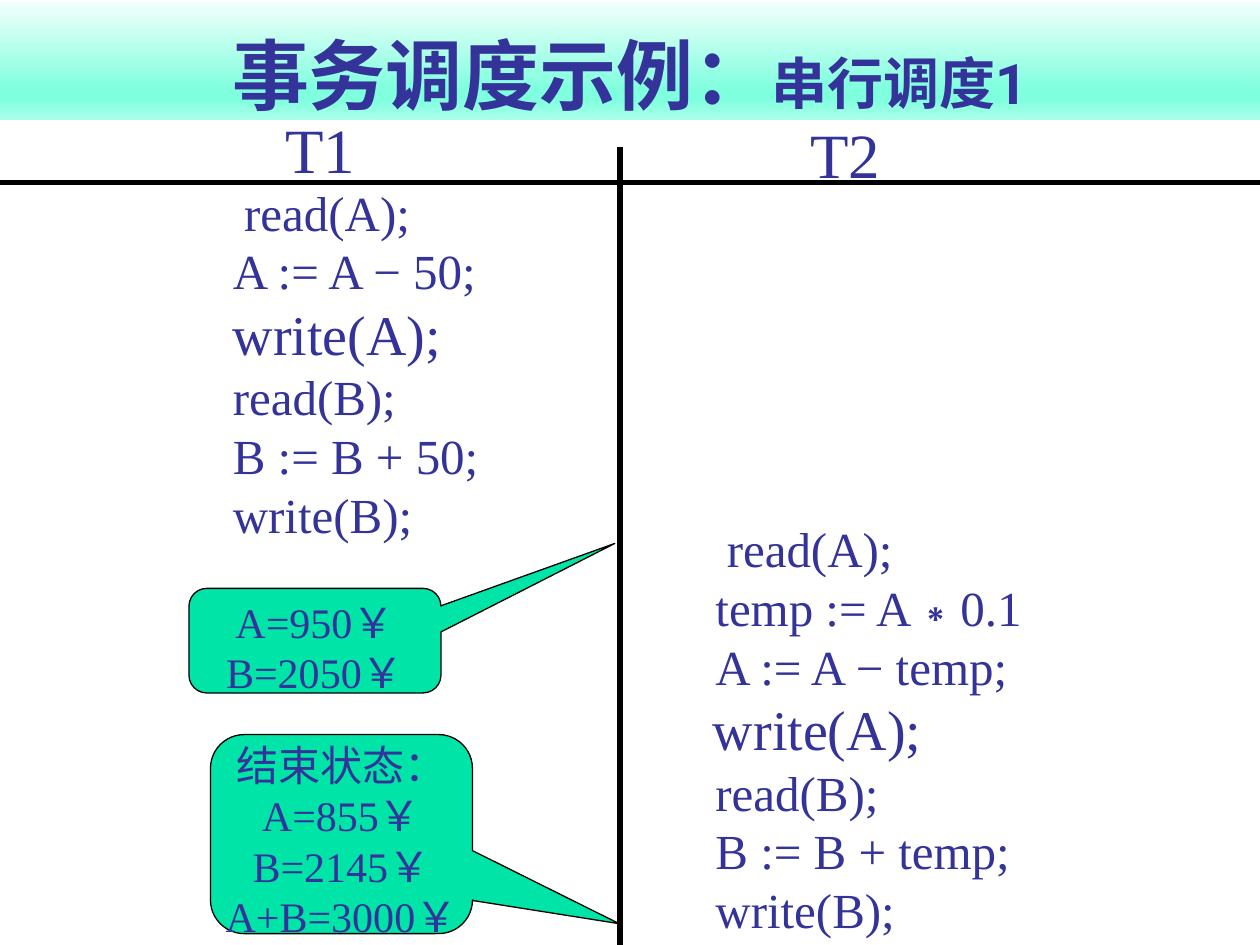
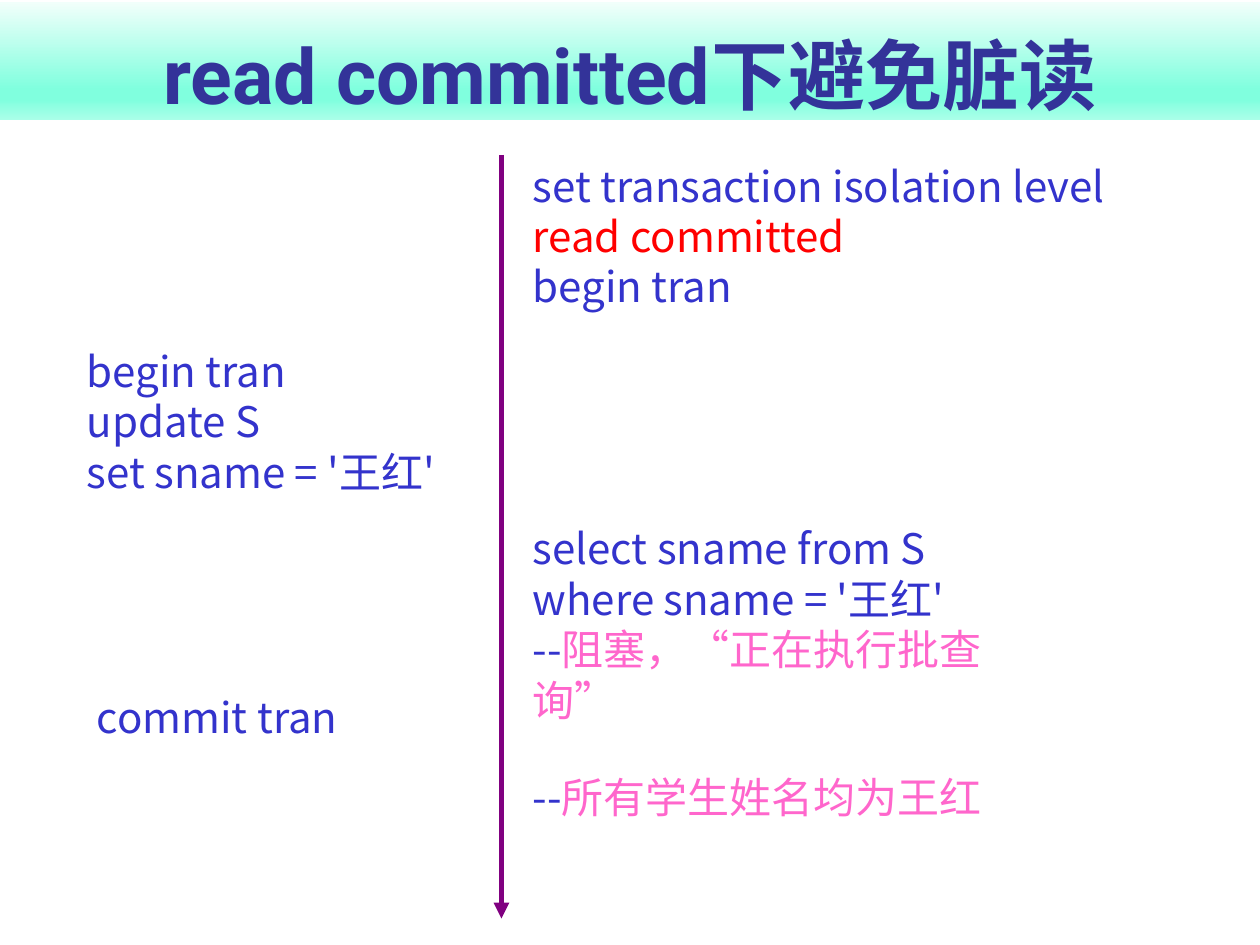
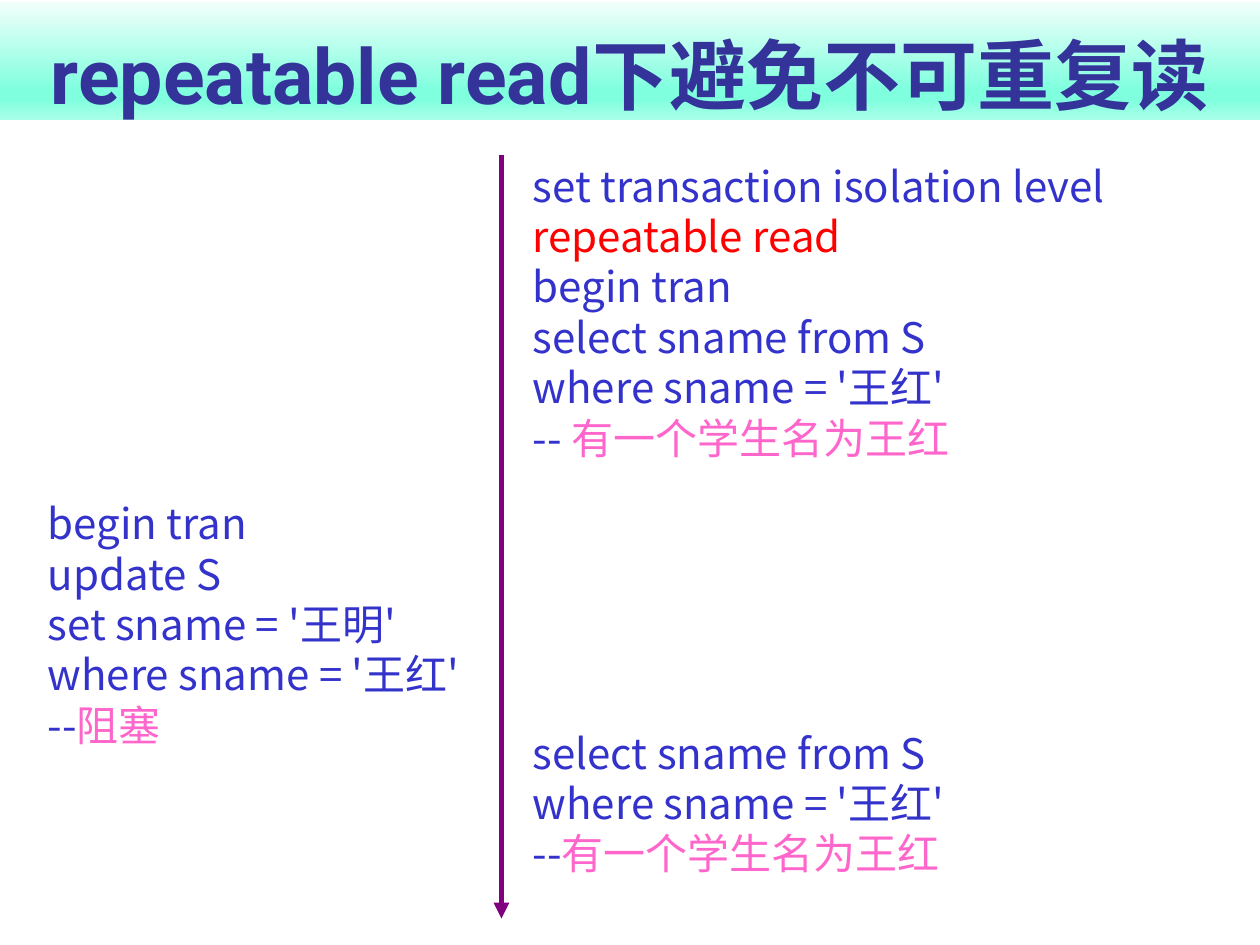
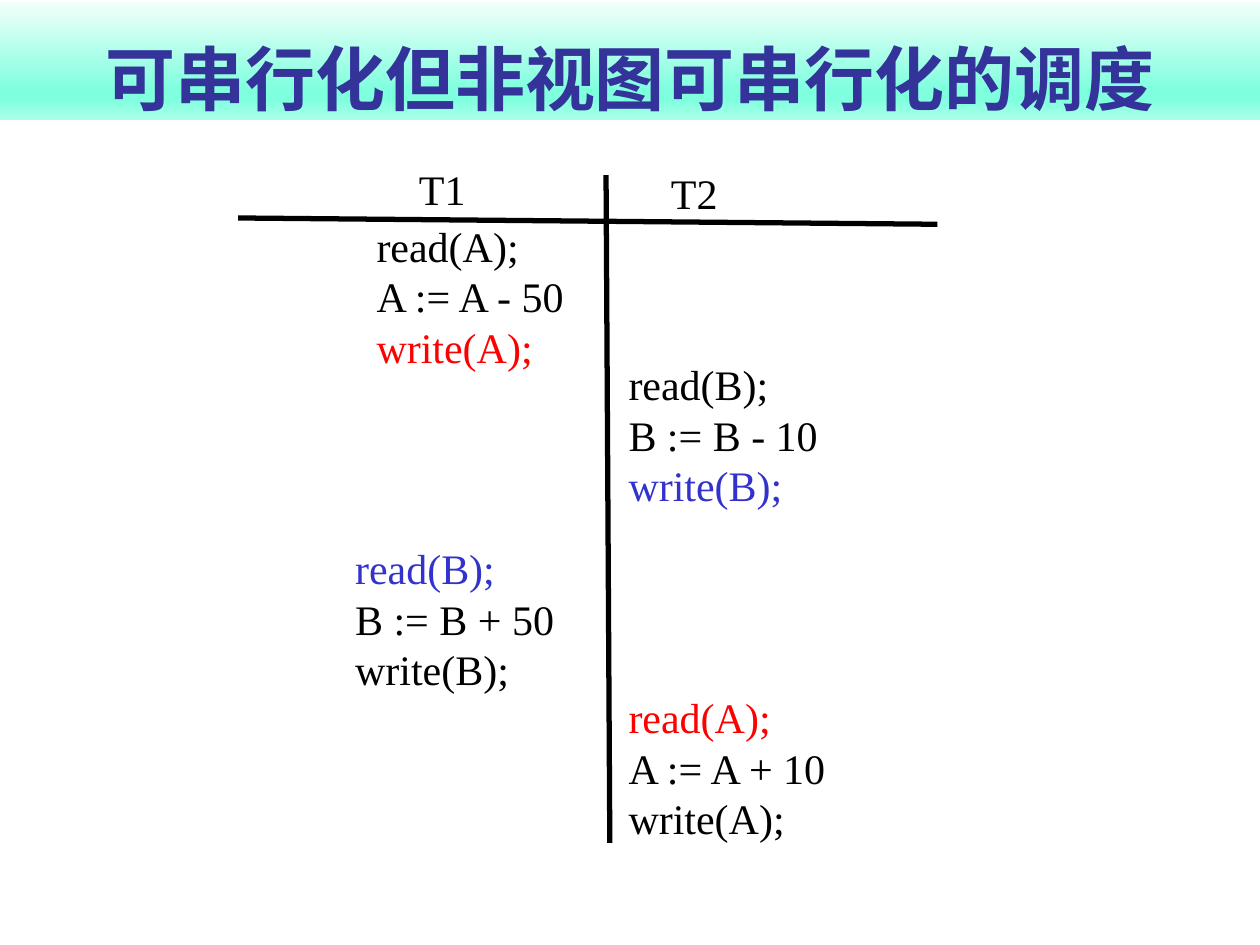
from dataclasses import dataclass

from lxml import etree
from pptx import Presentation
from pptx.dml.color import RGBColor
from pptx.enum.shapes import MSO_CONNECTOR, MSO_SHAPE
from pptx.enum.text import MSO_ANCHOR, MSO_AUTO_SIZE, PP_ALIGN
from pptx.oxml.ns import qn
from pptx.util import Emu, Pt

# Scale: 100 px to the inch
PX = 9144
SLIDE_W, SLIDE_H = 1000, 750

RECT = MSO_SHAPE.RECTANGLE
CALLOUT = MSO_SHAPE.ROUNDED_RECTANGULAR_CALLOUT
STRAIGHT = MSO_CONNECTOR.STRAIGHT
LEFT, CENTER = PP_ALIGN.LEFT, PP_ALIGN.CENTER
TOP, MIDDLE, BOTTOM = MSO_ANCHOR.TOP, MSO_ANCHOR.MIDDLE, MSO_ANCHOR.BOTTOM
GROW = MSO_AUTO_SIZE.SHAPE_TO_FIT_TEXT

# Colours and fonts
NAVY, BLUE, RED, PINK = "333399", "3333CC", "FF0000", "FF66CC"
BLACK, PURPLE, GREEN = "000000", "800080", "00E4A8"
BAND_STOPS = ((0, "F1FFFB"), (74, "80FFDE"), (83, "80FFDE"), (100, "AAFFE9"))
SERIF, SANS, HEAD = "Times New Roman", "Noto Sans CJK SC", "Roboto"
LEADING = 1.2


@dataclass(frozen=True)
class Style:
    font: str
    size: int
    color: str
    bold: bool = False
    top: int = 5
    bottom: int = 5


@dataclass(frozen=True)
class Run:
    text: str
    color: str = ""
    font: str = ""
    size: int = 0


@dataclass(frozen=True)
class Line:
    runs: tuple[Run, ...]
    size: int = 0
    indent: int = 0
    lead: int = 0  # text size that sets the line height


@dataclass(frozen=True)
class Block:
    x: int
    y: int
    w: int
    h: int
    style: Style
    lines: tuple[Line, ...]
    align: PP_ALIGN = LEFT


@dataclass(frozen=True)
class Callout:
    block: Block
    tip: tuple[float, float]


@dataclass(frozen=True)
class Rule:
    x1: int
    y1: int
    x2: int
    y2: int
    color: str = BLACK
    arrow: bool = False


TITLE = Style(HEAD, 44, NAVY, bold=True, bottom=0)
STEP = Style(SERIF, 28, NAVY)
COLUMN = Style(SERIF, 36, NAVY)
STATE = Style(SERIF, 24, NAVY, top=10, bottom=0)
SQL = Style(SANS, 24, BLUE, top=9, bottom=1)
PLAIN = Style(SERIF, 24, BLACK)
TIME_AXIS = Rule(398, 123, 398, 729, PURPLE, arrow=True)


# Text helpers
def line(*parts: str | Run, size: int = 0, indent: int = 0, lead: int = 0) -> Line:
    runs = tuple(Run(t) if isinstance(t, str) else t for t in parts)
    return Line(runs, size, indent, lead)


def lines(*items: str | Run | Line) -> tuple[Line, ...]:
    return tuple(i if isinstance(i, Line) else line(i) for i in items)


def steps(first: str, *rest: str, write_indent: int) -> tuple[Line, ...]:
    """Schedule steps: a tall first line and a larger write(A)."""
    result = [line(first, indent=67, lead=32)]
    for text in rest:
        if text == "write(A);":
            result.append(line(text, size=32, indent=write_indent))
        else:
            result.append(line(text, indent=58))
    return tuple(result)


def heading(text: str, x: int, y: int, h: int, style: Style) -> Block:
    return Block(x, y, 108, h, style, lines(text), CENTER)


def rgb(color: str) -> RGBColor:
    return RGBColor.from_string(color)


def px(*values: int) -> list[Emu]:
    return [Emu(v * PX) for v in values]


def write(sp, style: Style, content: tuple[Line, ...], align: PP_ALIGN,
          anchor: MSO_ANCHOR = TOP, wrap: bool = True) -> None:
    tf = sp.text_frame
    tf.word_wrap = wrap
    tf.vertical_anchor = anchor
    tf.margin_left, tf.margin_right, tf.margin_top, tf.margin_bottom = px(
        10, 10, style.top, style.bottom)
    for i, item in enumerate(content):
        p = tf.add_paragraph() if i else tf.paragraphs[0]
        size = item.size or style.size
        p.alignment = align
        p.line_spacing = Pt(round((item.lead or size) * LEADING, 1))
        if item.indent:
            pPr = p._p.get_or_add_pPr()
            pPr.set("marL", str(item.indent * PX))
            pPr.set("indent", "0")
        for part in item.runs:
            r = p.add_run()
            r.text = part.text
            r.font.size = Pt(part.size or size)
            r.font.bold = style.bold
            r.font.color.rgb = rgb(part.color or style.color)
            r.font.name = part.font or style.font
            ea = etree.SubElement(r._r.get_or_add_rPr(), qn("a:ea"))
            ea.set("typeface", SANS)


# Drawing
def draw_title(s, content: Line) -> None:
    sp = s.shapes.add_shape(RECT, *px(0, 2, SLIDE_W, 93))
    sp.shadow.inherit = False
    sp.line.fill.background()
    sp.fill.gradient()
    sp.fill.gradient_angle = 270  # counter-clockwise: top to bottom
    stops = sp._element.spPr.find(qn("a:gradFill")).find(qn("a:gsLst"))
    for old in list(stops):
        stops.remove(old)
    for pos, color in BAND_STOPS:
        gs = etree.SubElement(stops, qn("a:gs"), pos=str(pos * 1000))
        etree.SubElement(gs, qn("a:srgbClr"), val=color)
    write(sp, TITLE, (content,), CENTER, BOTTOM)


def draw_block(s, b: Block) -> None:
    sp = s.shapes.add_textbox(*px(b.x, b.y, b.w, b.h))
    write(sp, b.style, b.lines, b.align)
    sp.text_frame.auto_size = GROW


def draw_callout(s, c: Callout) -> None:
    b = c.block
    sp = s.shapes.add_shape(CALLOUT, *px(b.x, b.y, b.w, b.h))
    sp.shadow.inherit = False
    sp.adjustments[0], sp.adjustments[1] = c.tip
    sp.adjustments[2] = 0.17
    sp.fill.solid()
    sp.fill.fore_color.rgb = rgb(GREEN)
    sp.line.color.rgb = rgb(BLACK)
    sp.line.width = Pt(0.75)
    write(sp, b.style, b.lines, b.align, MIDDLE, wrap=False)


def draw_rule(s, rule: Rule) -> None:
    cx = s.shapes.add_connector(STRAIGHT, *px(rule.x1, rule.y1, rule.x2, rule.y2))
    cx.line.color.rgb = rgb(rule.color)
    cx.line.width = Pt(3)
    if rule.arrow:
        etree.SubElement(cx.line._get_or_add_ln(), qn("a:tailEnd"), type="triangle")
    etree.SubElement(cx._element.spPr, qn("a:effectLst"))


DRAW = {Block: draw_block, Callout: draw_callout, Rule: draw_rule}

# Slide contents, back to front
SERIAL = (
    Block(117, 133, 333, 303, STEP, steps(
        "read(A);", "A := A − 50;", "write(A);", "read(B);", "B := B + 50;",
        "write(B);", write_indent=58)),
    Block(500, 400, 425, 350, STEP, steps(
        "read(A);", "temp := A∗0.1", "A := A − temp;", "write(A);", "read(B);",
        "B := B + temp;", "write(B);", write_indent=56)),
    Rule(0, 145, SLIDE_W, 145),
    Rule(492, 117, 492, SLIDE_H),
    heading("T1", 200, 83, 70, COLUMN),
    heading("T2", 617, 87, 70, COLUMN),
    Callout(Block(150, 467, 200, 83, STATE,
                  lines("A=950￥", "B=2050￥"), CENTER), (1.19, -0.93)),
    Callout(Block(167, 583, 208, 158, STATE,
                  lines("结束状态：", "A=855￥", "B=2145￥", "A+B=3000￥"),
                  CENTER), (1.06, 0.45)),
)

LEVEL = "set transaction isolation level"
QUERY = ("select sname from S", "where sname = '王红'")
UPDATE = ("begin tran", "update S")

READ_COMMITTED = (
    Block(413, 118, 559, 131, SQL,
          lines(LEVEL, Run("read committed", RED), "begin tran")),
    Block(59, 265, 323, 131, SQL, lines(*UPDATE, "set sname = '王红'")),
    Block(413, 406, 425, 131, SQL, lines(
        *QUERY,
        line("--", Run("阻塞，", PINK), Run("“", PINK, SERIF),
             Run("正在执行批查询", PINK), Run("”", PINK, SERIF)))),
    Block(67, 540, 243, 50, SQL, lines("commit tran")),
    Block(413, 603, 425, 51, SQL,
          lines(line("--", Run("所有学生姓名均为王红", PINK)))),
    TIME_AXIS,
)

ONE_STUDENT = Run("有一个学生名为王红", PINK)
REPEATABLE_READ = (
    Block(413, 118, 559, 252, SQL, lines(
        LEVEL, Run("repeatable read", RED), "begin tran", *QUERY,
        line("-- ", ONE_STUDENT))),
    Block(28, 386, 354, 212, SQL, lines(
        *UPDATE, "set sname = '王明'", "where sname = '王红'",
        line("--", Run("阻塞", PINK)))),
    Block(413, 568, 425, 131, SQL, lines(*QUERY, line("--", ONE_STUDENT))),
    TIME_AXIS,
)

NOT_VIEW_SERIAL = (
    Block(289, 170, 217, 130, PLAIN,
          lines("read(A);", "A := A - 50", Run("write(A);", RED))),
    Rule(189, 173, 744, 178),
    Rule(481, 139, 484, 669),
    heading("T1", 297, 125, 50, PLAIN),
    heading("T2", 497, 128, 50, PLAIN),
    Block(489, 280, 217, 130, PLAIN,
          lines("read(B);", "B := B - 10", Run("write(B);", BLUE))),
    Block(272, 426, 217, 130, PLAIN,
          lines(Run("read(B);", BLUE), "B := B + 50", "write(B);")),
    Block(489, 544, 217, 130, PLAIN,
          lines(Run("read(A);", RED), "A := A + 10", "write(A);")),
)

SLIDES = (
    (line("事务调度示例：", Run("串行调度1", size=32)), SERIAL),
    (line("read committed下避免脏读"), READ_COMMITTED),
    (line("repeatable read下避免不可重复读"), REPEATABLE_READ),
    (line("可串行化但非视图可串行化的调度", size=40), NOT_VIEW_SERIAL),
)


def main() -> None:
    prs = Presentation()
    prs.slide_width, prs.slide_height = px(SLIDE_W, SLIDE_H)
    blank = prs.slide_layouts[6]
    for title, items in SLIDES:
        s = prs.slides.add_slide(blank)
        draw_title(s, title)
        for item in items:
            DRAW[type(item)](s, item)
    prs.save("out.pptx")


if __name__ == "__main__":
    main()
